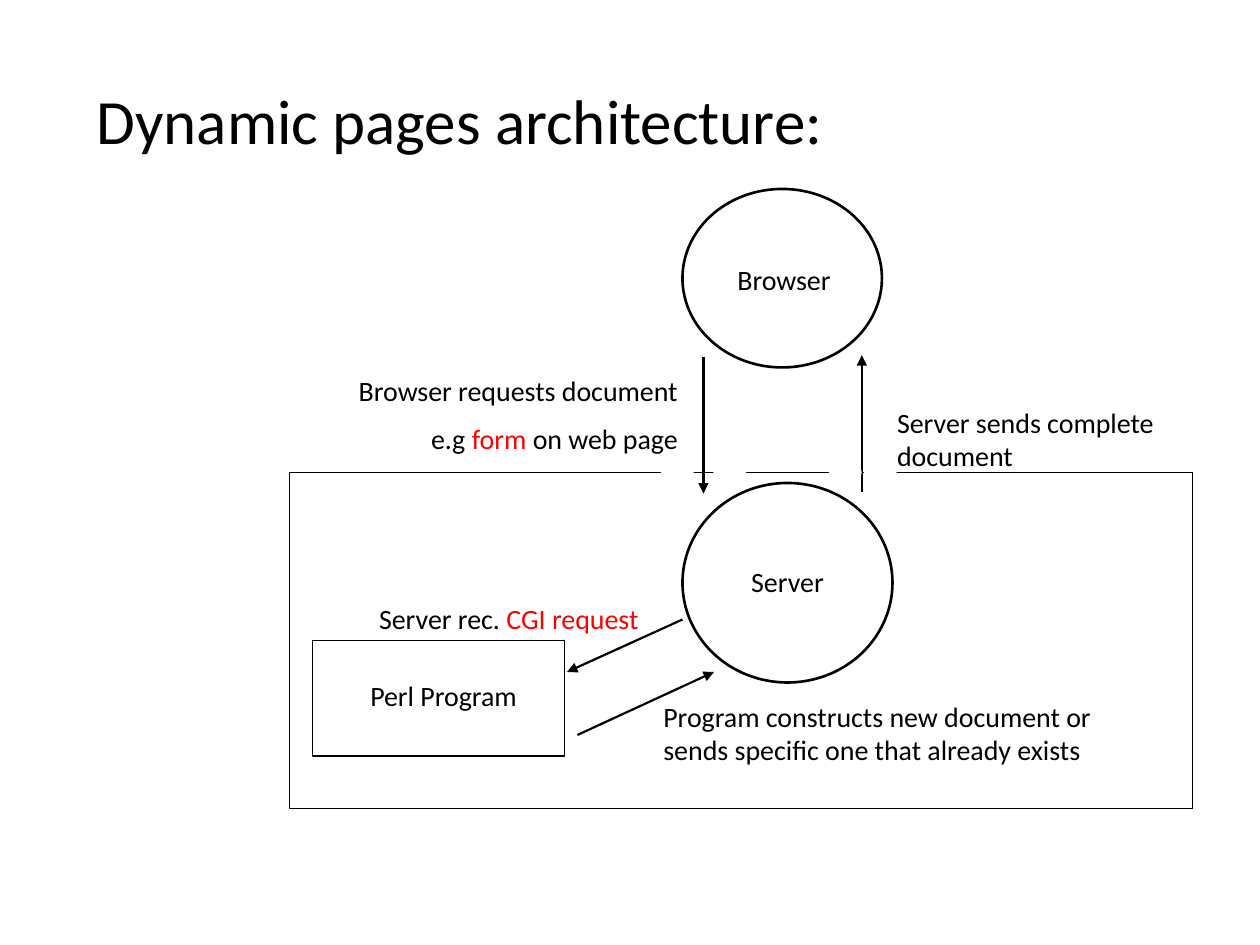
"""Build the slide on the architecture of dynamic web pages."""
from lxml import etree
from pptx import Presentation
from pptx.dml.color import RGBColor
from pptx.enum.shapes import MSO_CONNECTOR, MSO_SHAPE
from pptx.enum.text import MSO_ANCHOR, MSO_AUTO_SIZE, PP_ALIGN as Align
from pptx.oxml.ns import qn
from pptx.util import Pt

BLACK = RGBColor(0, 0, 0)
RED = RGBColor(255, 0, 0)
WHITE = RGBColor(255, 255, 255)


def write_text(frame, paragraphs, size=16, align=Align.LEFT, gap=8, font="Calibri"):
    """Fill a frame with paragraphs, each a list of (text, colour) runs."""
    frame.word_wrap = True
    frame.auto_size = MSO_AUTO_SIZE.NONE
    frame.vertical_anchor = MSO_ANCHOR.TOP
    for index, runs in enumerate(paragraphs):
        paragraph = frame.add_paragraph() if index else frame.paragraphs[0]
        paragraph.alignment = align
        paragraph.space_before = Pt(gap if index else 0)
        for text, colour in runs:
            run = paragraph.add_run()
            run.text = text
            run.font.name = font
            run.font.size = Pt(size)
            run.font.color.rgb = colour


class Diagram:
    """Hold the slide and the line style of its elements."""

    def __init__(self, slide, ink=BLACK, arrow_width=1.25):
        self.slide = slide
        self.ink = ink
        self.arrow_width = arrow_width

    def title(self, text, *box):
        heading = self.slide.shapes.title
        heading.left, heading.top, heading.width, heading.height = map(Pt, box)
        write_text(heading.text_frame, [[(text, self.ink)]], size=36)

    def outline(self, kind, *box, width=0.75, fill=None):
        shape = self.slide.shapes.add_shape(kind, *map(Pt, box))
        shape.shadow.inherit = False
        shape.line.width = Pt(width)
        shape.line.color.rgb = fill or self.ink
        if fill is None:
            shape.fill.background()
        else:
            shape.fill.solid()
            shape.fill.fore_color.rgb = fill
        return shape

    def label(self, paragraphs, *box, align=Align.LEFT):
        if isinstance(paragraphs, str):
            paragraphs = [[(paragraphs, self.ink)]]
        label = self.slide.shapes.add_textbox(*map(Pt, box))
        write_text(label.text_frame, paragraphs, align=align)
        return label

    def arrow(self, *ends):
        arrow = self.slide.shapes.add_connector(MSO_CONNECTOR.STRAIGHT, *map(Pt, ends))
        arrow.line.width = Pt(self.arrow_width)
        arrow.line.color.rgb = self.ink
        etree.SubElement(arrow.line._get_or_add_ln(), qn("a:tailEnd"), type="triangle")
        etree.SubElement(arrow._element.spPr, qn("a:effectLst"))


def main():
    deck = Presentation()
    deck.slide_width, deck.slide_height = Pt(720), Pt(540)
    diagram = Diagram(deck.slides.add_slide(deck.slide_layouts[5]))

    diagram.title("Dynamic pages architecture:", 48, 43, 672, 116)
    diagram.arrow(492.5, 281, 492.5, 203)
    diagram.arrow(402, 204, 402, 282)

    browser = diagram.outline(MSO_SHAPE.OVAL, 390, 108, 114, 102, width=1.5)
    browser_name = diagram.label("Browser", 408.5, 146.5, 79, 26.6, align=Align.CENTER)
    diagram.slide.shapes.add_group_shape([browser, browser_name])
    diagram.outline(MSO_SHAPE.OVAL, 390, 276, 120, 114, width=1.5)
    diagram.label("Server", 417.5, 319, 65, 26.6, align=Align.CENTER)

    request = [
        [("Browser requests document", BLACK)],
        [("e.g ", BLACK), ("form", RED), (" on web page", BLACK)],
    ]
    diagram.label(request, 144, 210, 250.5, 55.5, align=Align.RIGHT)
    diagram.label("Server sends complete document", 505.5, 228, 214.5, 46)

    diagram.outline(MSO_SHAPE.RECTANGLE, 178.5, 366, 144, 66)
    diagram.label("Perl Program", 196.5, 384, 114, 26.6, align=Align.CENTER)
    diagram.arrow(390, 354, 324, 384)
    diagram.arrow(330, 420, 408, 384)
    cgi_request = [[("Server rec. ", BLACK), ("CGI request", RED)]]
    diagram.label(cgi_request, 121.5, 340, 250.5, 26.6, align=Align.RIGHT)
    diagram.label(
        "Program constructs new document or sends specific one that already exists",
        372, 396, 288, 46,
    )

    diagram.outline(MSO_SHAPE.RECTANGLE, 165.5, 270, 516, 192)
    for gap_left in (378, 408, 474, 494):
        diagram.outline(MSO_SHAPE.OVAL, gap_left, 264, 18, 12, fill=WHITE)

    deck.save("out.pptx")


if __name__ == "__main__":
    main()
